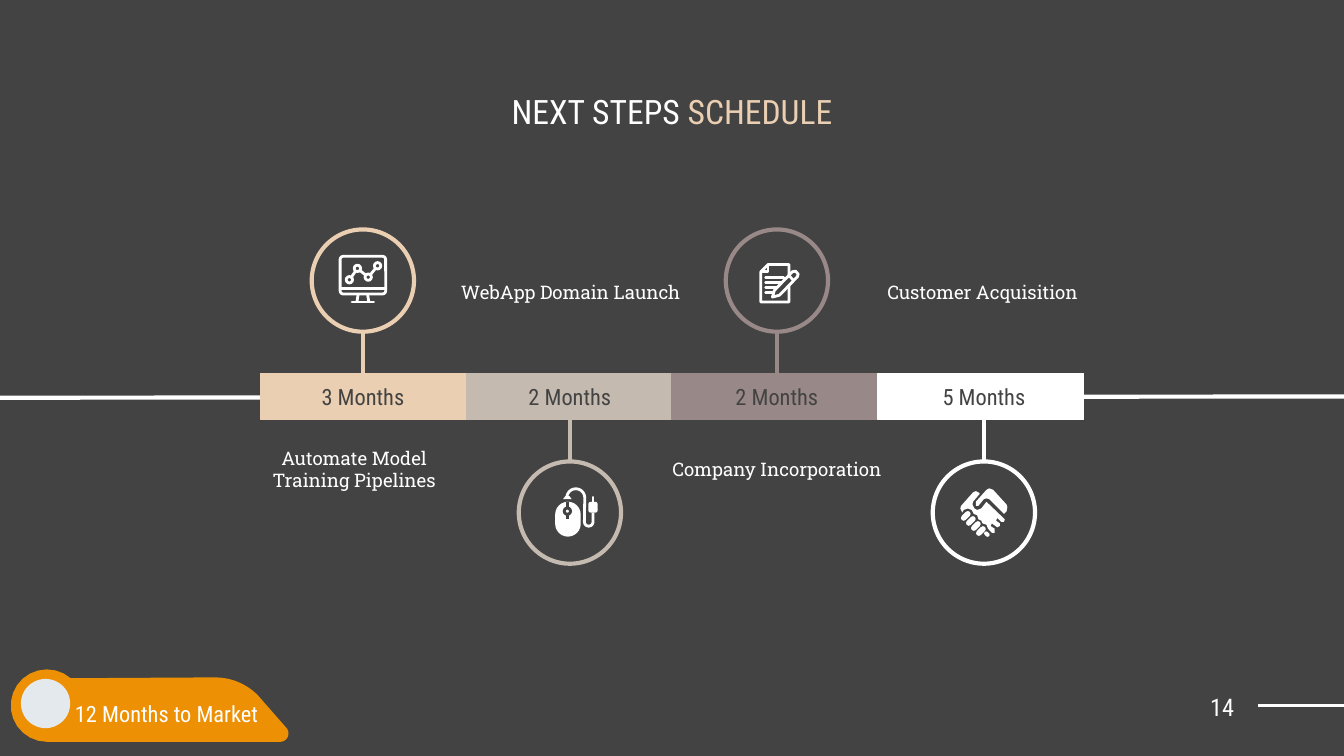
from math import cos, radians, sin

from lxml.etree import SubElement
from pptx import Presentation
from pptx.dml.color import RGBColor
from pptx.enum.shapes import MSO_CONNECTOR, MSO_SHAPE as Shape
from pptx.enum.text import MSO_ANCHOR, PP_ALIGN as Align
from pptx.oxml.ns import qn
from pptx.util import Pt

DARK = RGBColor(0x43, 0x43, 0x43)
WHITE = RGBColor(0xFF, 0xFF, 0xFF)
SAND = RGBColor(0xEB, 0xCF, 0xB2)
STONE = RGBColor(0xC5, 0xBA, 0xAF)
MAUVE = RGBColor(0x99, 0x88, 0x88)
ORANGE = RGBColor(0xED, 0x90, 0x04)
PALE = RGBColor(0xE3, 0xE9, 0xED)
CONDENSED = "Roboto Condensed"
SLAB = "Roboto Slab"

LEFT_HAND = [
    (-4.3, -11.5), (-5.8, -10.8), (-12.2, -3.6), (-12.6, -2.2), (-11.5, 0),
    (-10.8, -1.4), (-8.6, -2.2), (-6.5, -1.4), (-5.4, 0.7), (-3.6, 1.4),
    (-2.9, 3.6), (-1.4, 4.3), (-0.7, 5.8), (1.4, 6.5), (2.2, 8.6),
    (4.3, 10.8), (5.8, 10.8), (5.8, 8.6), (3.6, 7.2), (4.3, 5.8),
    (7.2, 7.9), (8.6, 7.2), (8.6, 5.8), (6.5, 4.3), (7.2, 2.9),
    (9.4, 5), (10.8, 5), (11.2, 3.6), (2.2, -5), (1.4, -5.8),
    (-1.4, -2.2), (-3.6, -1.4), (-5, -2.2), (-6.1, -4.3), (-5.8, -5.8),
    (-2.2, -10.1), (-2.9, -10.8),
]
RIGHT_HAND = [
    (2.9, -13), (1.4, -12.2), (-4.3, -5.8), (-4.3, -3.6), (-2.9, -3.6),
    (0, -7.2), (1.4, -7.6), (2.9, -7.2), (10.8, 0.7), (12.2, -0.7),
    (12.6, -2.9), (12.2, -4.3), (5, -12.2),
]


def arc(x, y, radius, start, end, steps=16):
    """Points on a circle, in degrees that run clockwise from the right."""
    angles = [radians(start + (end - start) * i / steps) for i in range(steps + 1)]
    return [(x + radius * cos(a), y + radius * sin(a)) for a in angles]


class Board:
    """Draws on one slide; every position counts from the origin, in points."""

    def __init__(self, page):
        self.page = page
        self.origin = (0, 0)

    def place(self, x, y):
        return Pt(self.origin[0] + x), Pt(self.origin[1] + y)

    def paint(self, shape, fill, line, width):
        shape.shadow.inherit = False
        if fill is None:
            shape.fill.background()
        else:
            shape.fill.solid()
            shape.fill.fore_color.rgb = fill
        if line is None:
            shape.line.fill.background()
        else:
            shape.line.color.rgb = line
            shape.line.width = Pt(width)
        return shape

    def shape(self, kind, x, y, width, height, fill=None, line=None, weight=1.5):
        shape = self.page.shapes.add_shape(kind, *self.place(x, y), Pt(width), Pt(height))
        return self.paint(shape, fill, line, weight)

    def circle(self, x, y, radius, fill=None, line=None, weight=1.5):
        side = 2 * radius
        return self.shape(Shape.OVAL, x - radius, y - radius, side, side, fill, line, weight)

    def outline(self, points, fill=None, line=None, weight=1.5, close=True):
        places = [self.place(x, y) for x, y in points]
        builder = self.page.shapes.build_freeform(*places[0], scale=1.0)
        builder.add_line_segments(places[1:], close=close)
        return self.paint(builder.convert_to_shape(), fill, line, weight)

    def line(self, x1, y1, x2, y2, color=WHITE, weight=1.5, cap="flat"):
        line = self.page.shapes.add_connector(
            MSO_CONNECTOR.STRAIGHT, *self.place(x1, y1), *self.place(x2, y2))
        line.line.color.rgb = color
        line.line.width = Pt(weight)
        line.line._get_or_add_ln().set("cap", cap)
        SubElement(line._element.spPr, qn("a:effectLst"))

    def text(self, words, x, y, width, height, size, font=CONDENSED,
             color=WHITE, align=Align.CENTER):
        box = self.page.shapes.add_textbox(*self.place(x, y), Pt(width), Pt(height))
        self.fill_frame(box.text_frame, [(words, color)], size, font, align)

    def title(self, spans, x, y, width, height, size):
        box = self.page.shapes.title
        box.left, box.top, box.width, box.height = Pt(x), Pt(y), Pt(width), Pt(height)
        self.fill_frame(box.text_frame, spans, size, CONDENSED, Align.CENTER)

    def fill_frame(self, frame, spans, size, font, align):
        frame.word_wrap = True
        frame.vertical_anchor = MSO_ANCHOR.MIDDLE
        frame.margin_left = frame.margin_right = Pt(7.2)
        frame.margin_top = frame.margin_bottom = Pt(7.2)
        para = frame.paragraphs[0]
        para.alignment = align
        para.font.size = Pt(size)
        para.font.name = font
        for words, color in spans:
            span = para.add_run()
            span.text = words
            span.font.color.rgb = color


def draw_monitor(board):
    screen = board.shape(Shape.ROUNDED_RECTANGLE, -12.2, -13, 24.4, 20.2, line=WHITE)
    screen.adjustments[0] = 0.08
    board.line(-12.2, 4.3, 12.2, 4.3)
    for side in (-1, 1):
        board.line(side * 2.5, 7.2, side * 3.2, 11.5)
    board.line(-5.8, 11.5, 5.8, 11.5, cap="rnd")
    trend = [(-7.2, -0.4), (-2.9, -6.5), (2.9, -1.8), (7.9, -7.9)]
    board.outline(trend, line=WHITE, close=False)
    for x, y in trend:
        board.circle(x, y, 1.7, DARK, WHITE)


def draw_mouse(board):
    cable = arc(3.2, -7.9, 4.8, 180, 360) + arc(10.1, 5, 2.3, 180, 0) + [(12.4, 0)]
    board.outline(cable, line=WHITE, close=False)
    board.outline([(-3.6, -7.2), (-2.4, -8.8), (-0.2, -8.8), (1, -7.2)], WHITE)
    plug = board.shape(Shape.ROUNDED_RECTANGLE, 9.9, -5.8, 5, 5.8, WHITE)
    plug.adjustments[0] = 0.25
    board.line(12.4, -8.2, 12.4, -5.8, cap="rnd")
    body = board.shape(Shape.ROUNDED_RECTANGLE, -7.9, -5.8, 13.7, 18.7, WHITE)
    body.adjustments[0] = 0.5
    board.line(-1.3, -5.8, -1.3, 3.2, DARK)
    board.circle(-1.3, -0.7, 2.5, DARK)
    board.circle(-1.3, -0.7, 0.8, WHITE)


def draw_document(board):
    board.outline([(-4.7, -8.6), (6.5, -8.6), (6.5, 11.5), (-8.6, 11.5), (-8.6, -4.7)],
                  line=WHITE)
    board.outline([(-4.7, -8.6), (-4.7, -4.7), (-8.6, -4.7)], line=WHITE, close=False)
    for y, end in [(-1.4, 3.6), (1.1, 2), (3.8, 0.4), (6.3, -2.5)]:
        board.line(-6, y, end, y, cap="rnd")
    board.outline([(-2.4, 8.9), (-1.4, 5.4), (8.3, -4.7), (10, -5),
                   (11.4, -3.4), (11, -2), (1.4, 7.9)], DARK, WHITE)
    board.line(6.5, -2.6, 9, 0)


def draw_handshake(board):
    for step in range(4):
        shift = 2.7 * step
        board.line(-10.8 + shift, 2.9 + shift, -8.6 + shift, 0.7 + shift,
                   weight=3, cap="rnd")
    board.line(1.2, 11.2, 2, 11.9, weight=2.2, cap="rnd")
    board.outline(LEFT_HAND, WHITE)
    board.outline(RIGHT_HAND, WHITE)


def draw_badge(board):
    board.outline(arc(25.2, 378, 19.4, 90, 311) + arc(115.2, 395.3, 32.4, 270, 315)
                  + arc(150.1, 392.9, 4.5, -45, 90), ORANGE)
    board.circle(24.4, 376.9, 13.2, PALE)
    board.text("12 Months to Market", 33.1, 367.2, 128, 30.2, 12, align=Align.LEFT)


def main():
    deck = Presentation()
    deck.slide_width, deck.slide_height = Pt(720), Pt(405)
    page = deck.slides.add_slide(deck.slide_layouts[5])
    page.background.fill.solid()
    page.background.fill.fore_color.rgb = DARK
    board = Board(page)

    board.title([("NEXT STEPS ", WHITE), ("SCHEDULE", SAND)], 154.8, 22.3, 410.4, 74.2, 18)
    board.line(673.9, 378, 720, 378)
    board.line(0, 213.1, 720, 212.4, weight=2.25)

    # duration, caption, caption centre and width, colour, icon
    stages = [
        ("3 Months", "Automate Model Training Pipelines", 189.7, 130.3, SAND, draw_monitor),
        ("2 Months", "WebApp Domain Launch", 305.6, 141.8, STONE, draw_mouse),
        ("2 Months", "Company Incorporation", 416.2, 136.8, MAUVE, draw_document),
        ("5 Months", "Customer Acquisition", 526.3, 133.9, WHITE, draw_handshake),
    ]
    bar_top, bar_height, radius, stem = 200.2, 24.5, 27.4, 22.5
    for i, (months, caption, middle, width, color, icon) in enumerate(stages):
        above = i % 2 == 0
        center = 194.4 + 110.9 * i
        edge, way = (bar_top, -1) if above else (bar_top + bar_height, 1)
        board.shape(Shape.RECTANGLE, 139.7 + 110.2 * i, bar_top, 110.2, bar_height,
                    color, color, 0.75)
        board.line(center, edge, center, edge + way * stem, color, 2.25)
        board.text(months, center - 35.3, 197.3, 70.6, 30.2, 12, color=DARK)
        board.text(caption, middle - width / 2, 236.2 if above else 141.1, width, 30.2,
                   10, SLAB)
        board.origin = (center, edge + way * (stem + radius))
        board.circle(0, 0, radius, line=color, weight=2.25)
        icon(board)
        board.origin = (0, 0)

    draw_badge(board)
    board.text("14", 625, 367.9, 43.2, 21.6, 13, align=Align.RIGHT)
    deck.save("out.pptx")


if __name__ == "__main__":
    main()
